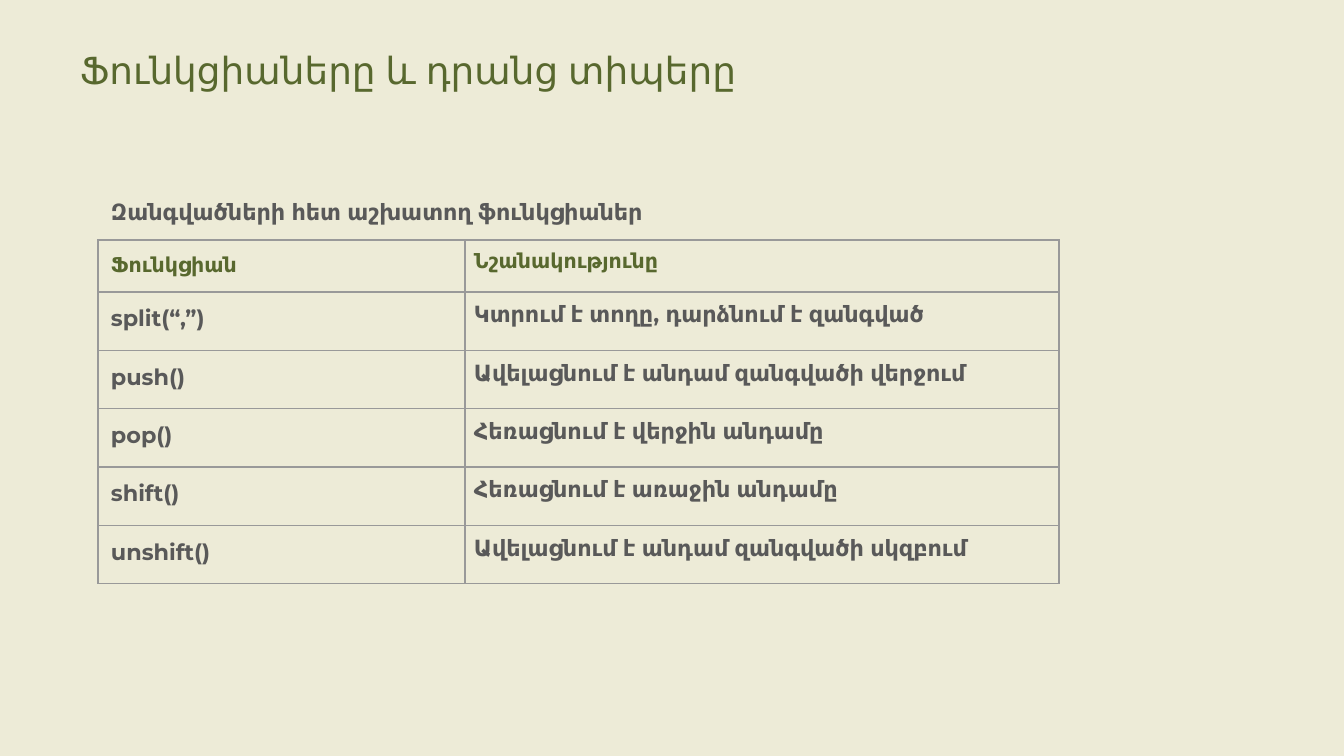
from lxml.etree import SubElement
from pptx import Presentation
from pptx.dml.color import RGBColor
from pptx.enum.text import MSO_ANCHOR
from pptx.oxml.ns import qn
from pptx.util import Pt

TITLE = "Ֆունկցիաները և դրանց տիպերը"
SUBTITLE = "Զանգվածների հետ աշխատող ֆունկցիաներ"
FUNCTIONS = [
    ("Ֆունկցիան", "Նշանակությունը"),
    ("split(“,”)", "Կտրում է տողը, դարձնում է զանգված"),
    ("push()", "Ավելացնում է անդամ զանգվածի վերջում"),
    ("pop()", "Հեռացնում է վերջին անդամը"),
    ("shift()", "Հեռացնում է առաջին անդամը"),
    ("unshift()", "Ավելացնում է անդամ զանգվածի սկզբում"),
]

FONT = "Montserrat"
CREAM = RGBColor(0xED, 0xEB, 0xD7)
OLIVE = RGBColor(0x58, 0x68, 0x2E)
GRAY = RGBColor(0x59, 0x59, 0x59)
BORDER = RGBColor(0x99, 0x99, 0x99)

SLIDE_W, SLIDE_H = 1344, 756
LEFT, TABLE_TOP = 98, 240
COLUMN_WIDTHS = (367, 594)
COLUMN_MARGINS = (13, 9)
HEADER_H, BODY_ROWS_H = 52, 292


def px(length):
    return round(length * 9144000 / SLIDE_W)


def write(holder, text, size, color, bold=False, margin=13, spacing=None, after=0):
    """Put formatted text in a text frame or a table cell."""
    holder.margin_left = holder.margin_right = px(margin)
    holder.margin_top = holder.margin_bottom = px(margin)
    holder.vertical_anchor = MSO_ANCHOR.TOP
    holder_frame = getattr(holder, "text_frame", holder)
    holder_frame.word_wrap = True
    paragraph = holder_frame.paragraphs[0]
    paragraph.line_spacing = spacing
    paragraph.space_after = Pt(after)
    run = paragraph.add_run()
    run.text = text
    run.font.name = FONT
    run.font.size = Pt(size)
    run.font.bold = bold
    run.font.color.rgb = color


def add_text(slide, box, text, **style):
    frame = slide.shapes.add_textbox(*map(px, box)).text_frame
    write(frame, text, **style)


def outline(cell):
    properties = cell._tc.get_or_add_tcPr()
    for position, side in enumerate(("a:lnL", "a:lnR", "a:lnT", "a:lnB")):
        line = SubElement(properties, qn(side), w=str(Pt(0.75)))
        properties.insert(position, line)
        fill = SubElement(line, qn("a:solidFill"))
        SubElement(fill, qn("a:srgbClr"), val=str(BORDER))


def add_function_table(slide):
    table = slide.shapes.add_table(
        len(FUNCTIONS), len(COLUMN_WIDTHS), px(LEFT), px(TABLE_TOP),
        px(sum(COLUMN_WIDTHS)), px(HEADER_H + BODY_ROWS_H)).table
    table.first_row = table.horz_banding = False
    for column, width in zip(table.columns, COLUMN_WIDTHS):
        column.width = px(width)
    body_row_h = BODY_ROWS_H / (len(FUNCTIONS) - 1)
    for r, texts in enumerate(FUNCTIONS):
        header = r == 0
        table.rows[r].height = px(HEADER_H if header else body_row_h)
        for c, text in enumerate(texts):
            cell = table.cell(r, c)
            write(cell, text, size=11 if header else 12, bold=True,
                  color=OLIVE if header else GRAY, margin=COLUMN_MARGINS[c])
            cell.fill.background()
            outline(cell)


def main():
    deck = Presentation()
    deck.slide_width, deck.slide_height = px(SLIDE_W), px(SLIDE_H)
    slide = deck.slides.add_slide(deck.slide_layouts[6])
    slide.background.fill.solid()
    slide.background.fill.fore_color.rgb = CREAM

    add_text(slide, (67, 34, 1210, 85), TITLE, size=20, color=OLIVE)
    add_function_table(slide)
    add_text(slide, (LEFT, 187, sum(COLUMN_WIDTHS), 54), SUBTITLE, size=12,
             color=GRAY, bold=True, spacing=0.95, after=12)
    deck.save("out.pptx")


if __name__ == "__main__":
    main()
